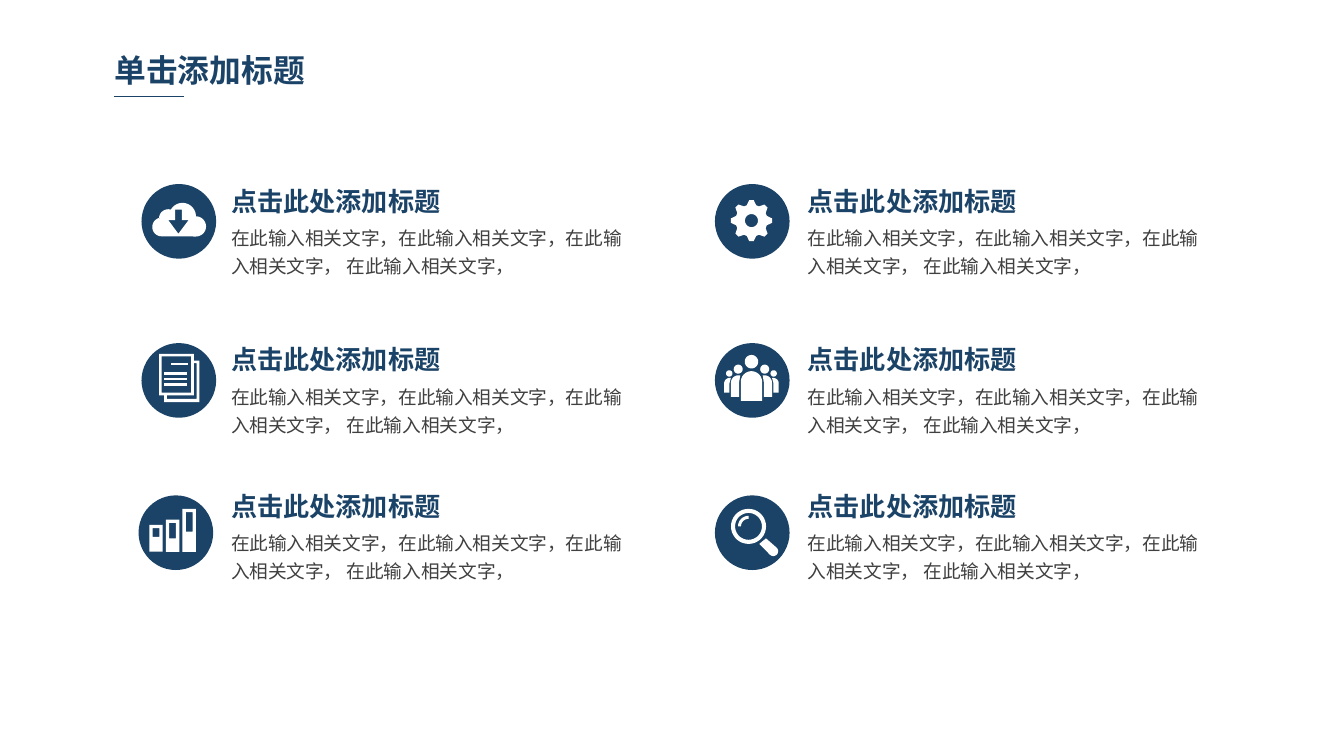
from math import cos, radians, sin
from lxml import etree
from pptx import Presentation
from pptx.dml.color import RGBColor
from pptx.enum import shapes, text
from pptx.oxml import ns
from pptx.util import Pt

NAVY = RGBColor(0x1B, 0x43, 0x67)
GREY = RGBColor(0x40, 0x40, 0x40)
WHITE = RGBColor(0xFF, 0xFF, 0xFF)
FONT = "Noto Sans CJK SC"
HEAD = "点击此处添加标题"
BODY = "在此输入相关文字，在此输入相关文字，在此输入相关文字， 在此输入相关文字，"
DISC = 40


def write(slide, words, x, y, w, h, size, color=NAVY, bold=False, wrap=True, lead=None):
    frame = slide.shapes.add_textbox(Pt(x), Pt(y), Pt(w), Pt(h)).text_frame
    frame.word_wrap = wrap
    frame.auto_size = text.MSO_AUTO_SIZE.SHAPE_TO_FIT_TEXT
    frame.margin_left = frame.margin_right = Pt(5)
    frame.margin_top = frame.margin_bottom = Pt(2.7)
    para = frame.paragraphs[0]
    if lead:
        para.line_spacing = Pt(lead)
    run = para.add_run()
    run.text = words
    font = run.font
    font.name, font.size, font.bold = FONT, Pt(size), bold
    font.color.rgb = color
    east = etree.SubElement(font._element, ns.qn("a:ea"))
    east.set("typeface", FONT)


def paint(shape, color):
    shape.shadow.inherit = False
    shape.fill.solid()
    shape.fill.fore_color.rgb = color
    shape.line.fill.background()


def arc(cx, cy, r, start, end, steps=24):
    turns = [radians(start + (end - start) * i / steps) for i in range(steps + 1)]
    return [(cx + r * cos(t), cy + r * sin(t)) for t in turns]


def ring(cx, cy, r):
    return arc(cx, cy, r, 0, 360, 36)


def rect(x, y, w, h):
    return [(x, y), (x + w, y), (x + w, y + h), (x, y + h)]


def flip(outline, axis):
    return [(2 * axis - x, y) for x, y in outline]


def cloud():
    lobes = (arc(29.2, 22.7, 5.4, 90, -90) + arc(22, 17.3, 7.2, 0, -150)
             + arc(14.4, 18.5, 5, -90, -180) + arc(10.8, 23, 5, -90, -270))
    arrow = [(19.8, 26.6), (14.4, 19.4), (18, 19.4), (18, 13.7),
             (21.6, 13.7), (21.6, 19.4), (25.2, 19.4)]
    return [[lobes, arrow]]


def gear():
    mid = 19.6
    teeth = []
    for k in range(8):
        for r, turn in ((8.6, -17), (11.1, -6), (11.1, 6), (8.6, 17)):
            t = radians(45 * k + turn)
            teeth.append((mid + r * cos(t), mid + r * sin(t)))
    return [[teeth, ring(mid, mid, 3.5)]]


def pages():
    back = [(28.1, 9.4), (31, 9.4), (31, 31.7), (12.2, 31.7), (12.2, 28.1),
            (13.7, 28.1), (13.7, 29.9), (29.5, 29.9), (29.5, 10.8), (28.1, 10.8)]
    front = [rect(9.4, 5.8, 18.7, 22.3), rect(10.8, 7.2, 15.8, 19.4)]
    lines = [(15.8, 10.6, 9)] + [(12.2, y, 12.2) for y in (15.6, 18.6, 21.6)]
    return [front + [back]] + [[rect(x, y, w, 1.4)] for x, y, w in lines]


def crowd():
    mid = 19.6
    parts = [ring(mid, 10, 3.6), arc(mid, 20.8, 5.7, 180, 360) + [(25.3, 31), (13.9, 31)]]
    sides = [ring(12.5, 14, 2.4), ring(7.7, 16.3, 1.7),
             arc(12.6, 21.3, 4, 180, 270) + [(13.6, 17.3), (13, 20.8), (13, 28.8), (8.6, 28.8)],
             arc(7.9, 21.6, 2.9, 180, 270) + [(8.6, 18.7), (7.8, 21.6), (7.8, 26.6), (5, 26.6)]]
    return [parts + sides + [flip(side, mid) for side in sides]]


def bars():
    foot = 30.2
    return [[rect(5.8 + 8.9 * i, top, 7.2, foot - top),
             rect(7.6 + 8.9 * i, top + 1.8, 3.6, low - top - 1.8)]
            for i, (top, low) in enumerate(((15.8, 22.3), (13, 23), (7.2, 19.4)))]


def lens():
    cx, cy = 18, 16.6
    grip = [(27.4, 23)] + arc(31.3, 29.9, 2.6, -45, 135) + [(23.8, 26)]
    glint = arc(cx, cy, 5.6, 180, 270) + arc(cx, cy, 4, 270, 180)
    return [[grip], [ring(cx, cy, 9.4), ring(cx, cy, 7.2)], [glint]]


def badge(slide, x, y, glyph):
    group = slide.shapes.add_group_shape().shapes
    disc = group.add_shape(shapes.MSO_SHAPE.OVAL, Pt(x), Pt(y), Pt(DISC), Pt(DISC))
    paint(disc, NAVY)
    for part in glyph():
        spots = [[(Pt(x + dx), Pt(y + dy)) for dx, dy in line] for line in part]
        pen = group.build_freeform(*spots[0][0])
        pen.add_line_segments(spots[0][1:])
        for line in spots[1:]:
            pen.move_to(*line[0])
            pen.add_line_segments(line[1:])
        paint(pen.convert_to_shape(), WHITE)


def title(slide, x, y):
    write(slide, "单击添加标题", x, y, 178, 26, size=17, bold=True)
    rule = slide.shapes.add_connector(
        shapes.MSO_CONNECTOR.STRAIGHT, Pt(x + 5), Pt(y + 27.3), Pt(x + 42.5), Pt(y + 27.3))
    rule.line.color.rgb = NAVY
    rule.line.width = Pt(0.75)
    etree.SubElement(rule._element.spPr, ns.qn("a:effectLst"))


def entry(slide, x, y):
    write(slide, HEAD, x, y, 124, 22.3, size=14, bold=True, wrap=False)
    write(slide, BODY, x, y + 19.5, 225.4, 36, size=10, color=GREY, lead=15)


def main():
    deck = Presentation()
    deck.slide_width, deck.slide_height = Pt(720), Pt(405)
    slide = deck.slides.add_slide(deck.slide_layouts[6])
    title(slide, 56.2, 24.5)
    rows = ((98.6, 96.5), (183.8, 181.4), (265.4, 260))
    cols = ((118.8, (75.8, 75.8, 74.2), (cloud, pages, bars)),
            (427.7, (383, 383, 383), (gear, crowd, lens)))
    for left, spots, glyphs in cols:
        for (high, top), spot, glyph in zip(rows, spots, glyphs):
            badge(slide, spot, high, glyph)
            entry(slide, left, top)
    deck.save("out.pptx")


main()
